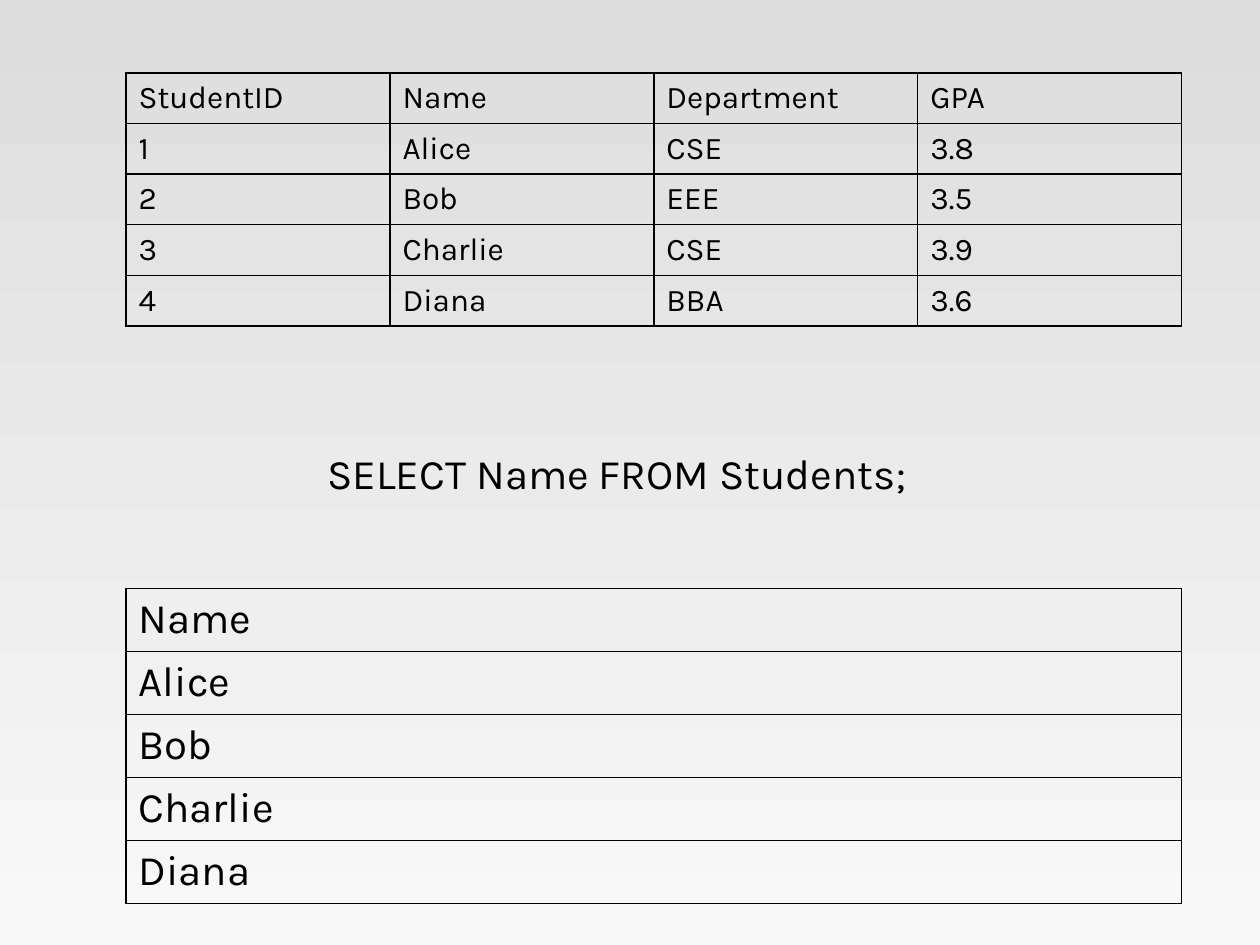
"""Build a slide showing a student table, a SELECT query and its result."""
from lxml import etree
from pptx import Presentation
from pptx.dml.color import RGBColor
from pptx.enum.text import MSO_ANCHOR, MSO_AUTO_SIZE
from pptx.oxml.ns import qn
from pptx.util import Cm, Pt

MIDDLE = MSO_ANCHOR.MIDDLE
GROW = MSO_AUTO_SIZE.SHAPE_TO_FIT_TEXT
FONT = "Karla"
INK = "000000"
LEFT, TABLE_WIDTH = 2.54, 21.28

STUDENTS = [
    ["StudentID", "Name", "Department", "GPA"],
    ["1", "Alice", "CSE", "3.8"],
    ["2", "Bob", "EEE", "3.5"],
    ["3", "Charlie", "CSE", "3.9"],
    ["4", "Diana", "BBA", "3.6"],
]
NAMES = [[row[1]] for row in STUDENTS]


def color(value):
    """Turn a hex string into a colour."""
    return RGBColor.from_string(value)


def style_text(para, size):
    """Set the font of a whole paragraph."""
    para.font.name = FONT
    para.font.size = Pt(size)
    para.font.bold = False
    para.font.color.rgb = color(INK)


deck = Presentation()
deck.slide_width, deck.slide_height = Cm(25.4), Cm(19.05)
page = deck.slides.add_slide(deck.slide_layouts[6])

backdrop = page.background.fill
backdrop.gradient()
backdrop.gradient_angle = 270
for stop, shade in zip(backdrop.gradient_stops, ["DDDDDD", "F8F8F8"]):
    stop.color.rgb = color(shade)

for rows, top, row_height, size in [(STUDENTS, 1.47, 1.02, 18), (NAMES, 11.86, 1.27, 24)]:
    columns = len(rows[0])
    table = page.shapes.add_table(
        len(rows), columns, Cm(LEFT), Cm(top), Cm(TABLE_WIDTH), Cm(row_height * len(rows))
    ).table
    table.first_row = table.horz_banding = False
    for row, values in zip(table.rows, rows):
        row.height = Cm(row_height)
        for cell, value in zip(row.cells, values):
            cell.text = value
            cell.vertical_anchor = MIDDLE
            style_text(cell.text_frame.paragraphs[0], size)
            properties = cell._tc.get_or_add_tcPr()
            for side in ("a:lnL", "a:lnR", "a:lnT", "a:lnB"):
                border = etree.SubElement(properties, qn(side), w=str(Pt(1)))
                fill = etree.SubElement(border, qn("a:solidFill"))
                etree.SubElement(fill, qn("a:srgbClr"), val=INK)
            cell.fill.background()

query_box = page.shapes.add_textbox(Cm(6.35), Cm(8.89), Cm(12.7), Cm(1.27))
query_box.text_frame.word_wrap = True
query_box.text_frame.auto_size = GROW
query = query_box.text_frame.paragraphs[0]
query.text = "SELECT Name FROM Students;"
style_text(query, 24)

deck.save("out.pptx")
